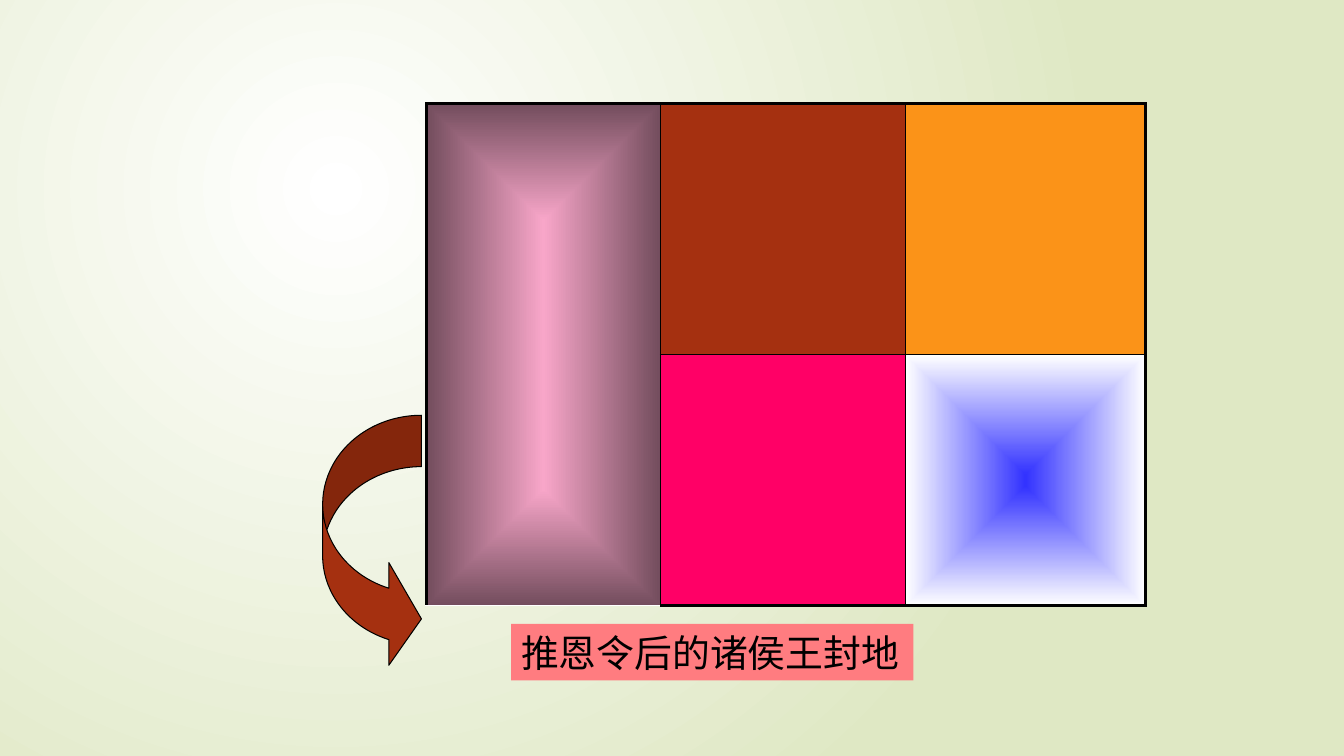
from pptx import Presentation
from pptx.dml.color import RGBColor
from pptx.enum.shapes import MSO_SHAPE
from pptx.enum.text import MSO_ANCHOR, MSO_AUTO_SIZE, PP_ALIGN
from pptx.oxml import parse_xml
from pptx.oxml.ns import nsdecls, qn
from pptx.util import Inches, Pt

ARROW, RECT = MSO_SHAPE.CURVED_RIGHT_ARROW, MSO_SHAPE.RECTANGLE
LEFT, MIDDLE, GROW = PP_ALIGN.LEFT, MSO_ANCHOR.MIDDLE, MSO_AUTO_SIZE.SHAPE_TO_FIT_TEXT

RUST, BLACK = "A53010", "000000"
COLS, ROWS = (2.32, 2.43, 2.38), (2.49, 2.49)
THICK, THIN = 2.25, 1
# One entry per land: row, column, colour or (inner, outer) colours
LANDS = [
    (0, 0, ("F8A6C9", "734D5D")),
    (0, 1, RUST),
    (0, 2, "FB9318"),
    (1, 1, "FF0066"),
    (1, 2, ("3333FF", "FFFFFF")),
]


def color(code):
    return RGBColor.from_string(code)


def apply(target, values):
    for name, value in values.items():
        setattr(target, name, value)


def blend(fill, root, colors, kind, focus):
    """Fill with a gradient that spreads outward from a focus rectangle."""
    fill.gradient()
    for stop, code, place in zip(fill.gradient_stops, colors, (0, 1)):
        stop.color.rgb = color(code)
        stop.position = place
    grad = next(root.iter(qn("a:gradFill")))
    for line in grad.findall(qn("a:lin")):
        grad.remove(line)
    sides = " ".join(f'{s}="{v * 1000}"' for s, v in zip("ltrb", focus))
    grad.append(parse_xml(
        f'<a:path {nsdecls("a")} path="{kind}"><a:fillToRect {sides}/></a:path>'))


def border(cell, widths):
    """Draw the given sides; borders come before the fill in a cell."""
    props = cell._tc.get_or_add_tcPr()
    for spot, (side, width) in enumerate(widths.items()):
        props.insert(spot, parse_xml(
            f'<a:ln{side} {nsdecls("a")} w="{Pt(width)}"><a:solidFill>'
            f'<a:srgbClr val="{BLACK}"/></a:solidFill></a:ln{side}>'))


def edges(row, col):
    """Thick on the outer frame, thin between lands, none inside the merge."""
    widths = {
        "L": THICK if col == 0 else THIN,
        "R": THICK if col == len(COLS) - 1 else THIN,
        "T": THICK if row == 0 else THIN,
        "B": THICK if row == len(ROWS) - 1 else THIN,
    }
    if col == 0:
        widths.pop("B" if row == 0 else "T")
    return widths


def add_map(slide, left, top):
    frame = slide.shapes.add_table(
        len(ROWS), len(COLS), Inches(left), Inches(top),
        Inches(sum(COLS)), Inches(sum(ROWS)))
    table = frame.table
    apply(table, {"first_row": False, "horz_banding": False})
    for col, width in zip(table.columns, COLS):
        col.width = Inches(width)
    for row, height in zip(table.rows, ROWS):
        row.height = Inches(height)
    table.cell(0, 0).merge(table.cell(1, 0))
    for row, col, paint in LANDS:
        cell = table.cell(row, col)
        if isinstance(paint, tuple):
            blend(cell.fill, cell._tc, paint, "rect", (50, 50, 50, 50))
        else:
            cell.fill.solid()
            cell.fill.fore_color.rgb = color(paint)
    for row in range(len(ROWS)):
        for col in range(len(COLS)):
            border(table.cell(row, col), edges(row, col))


def add_box(slide, kind, place, paint):
    box = slide.shapes.add_shape(kind, *map(Inches, place))
    box.shadow.inherit = False
    box.fill.solid()
    box.fill.fore_color.rgb = color(paint)
    box.line.fill.background()
    return box


def add_arrow(slide, place):
    arrow = add_box(slide, ARROW, place, RUST)
    for spot, share in enumerate((0.52, 1.04, 0.33)):
        arrow.adjustments[spot] = share
    arrow.line.color.rgb = color(BLACK)
    arrow.line.width = Pt(0.75)


def add_label(slide, place, words):
    frame = add_box(slide, RECT, place, "FF7C80").text_frame
    apply(frame, {"word_wrap": False, "auto_size": GROW, "vertical_anchor": MIDDLE})
    para = frame.paragraphs[0]
    para.text = words
    para.alignment = LEFT
    apply(para.font, {"size": Pt(27), "name": "Calibri"})
    para.font.color.rgb = color(BLACK)


def main():
    deck = Presentation()
    apply(deck, {"slide_width": Inches(13.33), "slide_height": Inches(7.5)})
    slide = deck.slides.add_slide(deck.slide_layouts[6])

    # Backdrop with its glow in the upper left
    blend(slide.background.fill, slide.element, ("FFFFFF", "DFE8C4"),
          "circle", (50, 50, 100, 100))

    # Map of the lands, arrow and caption
    add_arrow(slide, (3.2, 4.12, 0.98, 2.53))
    add_map(slide, 4.23, 1.03)
    add_label(slide, (5.07, 6.19, 3.99, 0.56), "推恩令后的诸侯王封地")
    deck.save("out.pptx")


if __name__ == "__main__":
    main()
